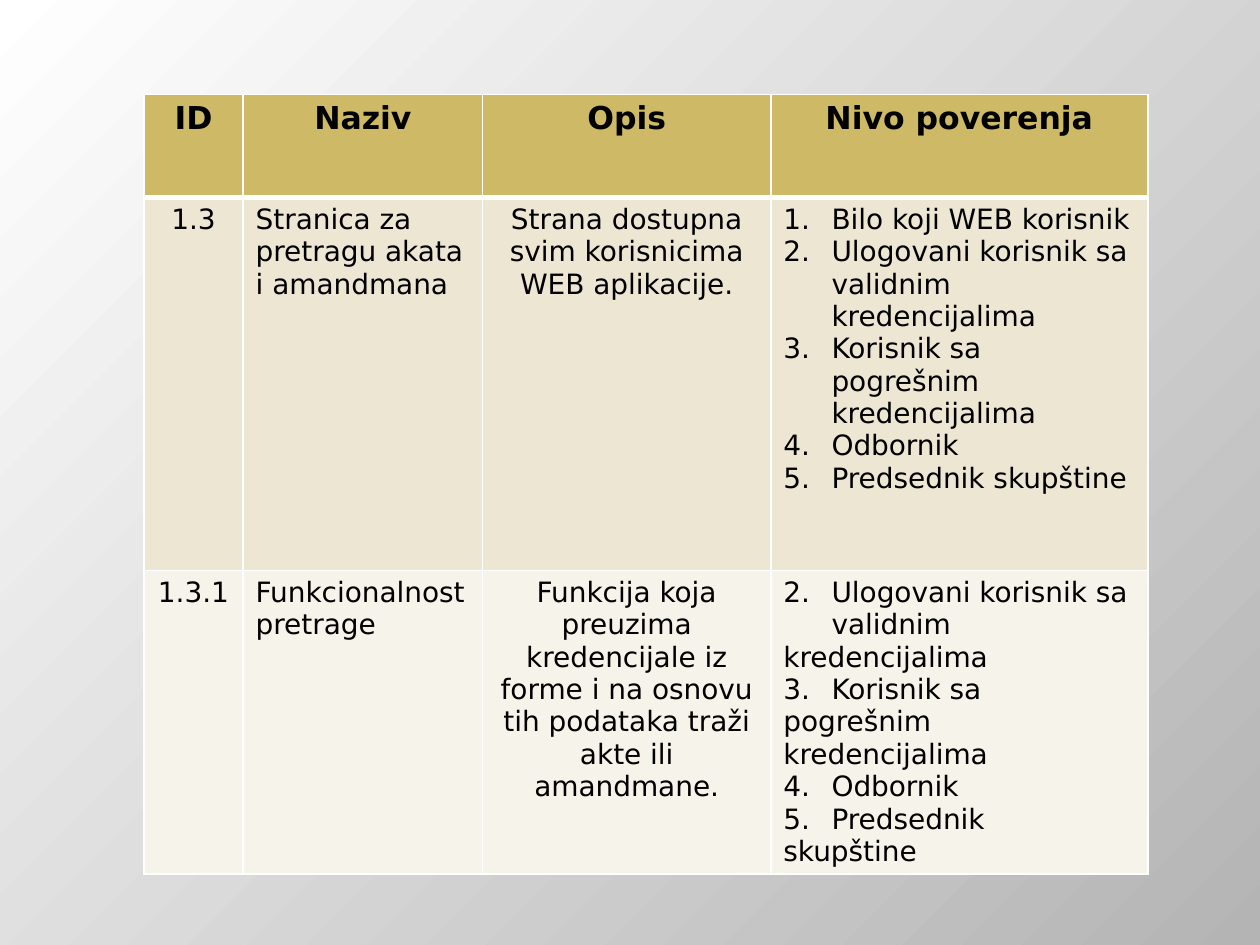
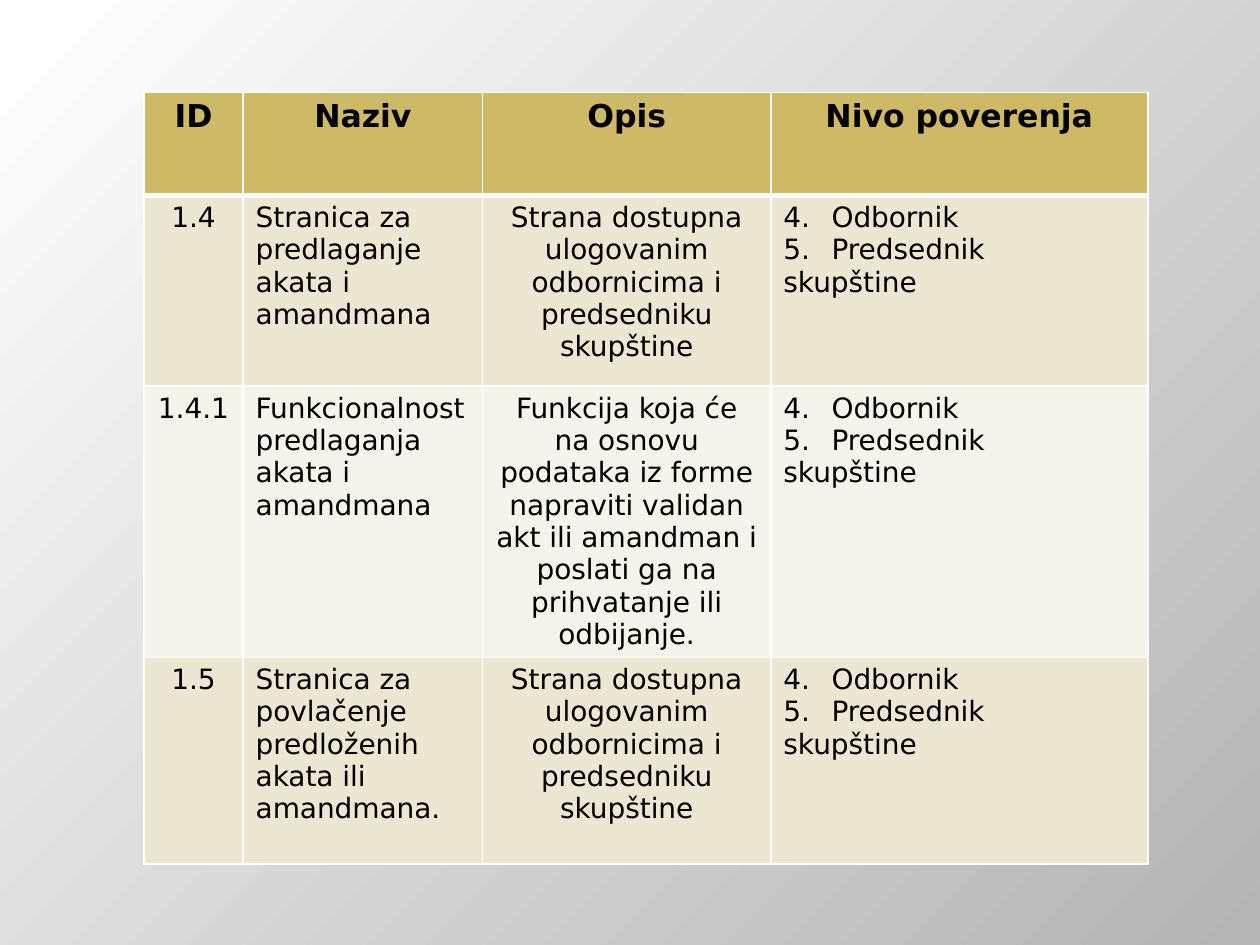
from lxml.etree import SubElement
from pptx import Presentation
from pptx.dml.color import RGBColor
from pptx.enum.text import PP_ALIGN
from pptx.oxml import parse_xml
from pptx.oxml.ns import nsdecls, qn
from pptx.util import Cm, Pt

FONT = "DejaVu Sans"
HEADER_FILL = "CEB966"
BAND_FILLS = ["EDE6D3", "F6F3EA"]
HEADINGS = ["ID", "Naziv", "Opis", "Nivo poverenja"]
COL_WIDTHS = [2.0, 4.83, 5.81, 7.6]
HEADER_HEIGHT = 2.08
LEFT = 2.9
LIST_INDENT = Cm(0.97)

ALL_USERS = [
    "Bilo koji WEB korisnik",
    "Ulogovani korisnik sa validnim kredencijalima",
    "Korisnik sa pogrešnim kredencijalima",
    "Odbornik",
    "Predsednik skupštine",
]
COUNCIL = ["4.\tOdbornik", "5.\tPredsednik\vskupštine"]
LOGGED_IN = [
    "2.\tUlogovani korisnik sa\v\tvalidnim\vkredencijalima",
    "3.\tKorisnik sa\vpogrešnim\vkredencijalima",
] + COUNCIL
COUNCIL_PAGE = "Strana dostupna ulogovanim odbornicima i predsedniku skupštine"

# Each slide: top of the table, row heights, rows
SLIDES = [
    (1.9, [7.52, 6.1], [
        ["1.3", "Stranica za pretragu akata i amandmana",
         "Strana dostupna svim korisnicima WEB aplikacije.", ALL_USERS],
        ["1.3.1", "Funkcionalnost pretrage",
         "Funkcija koja preuzima kredencijale iz forme i na osnovu tih "
         "podataka traži akte ili amandmane.", LOGGED_IN],
    ]),
    (1.86, [3.84, 5.46, 4.17], [
        ["1.4", "Stranica za predlaganje akata i amandmana",
         COUNCIL_PAGE, COUNCIL],
        ["1.4.1", "Funkcionalnost predlaganja akata i amandmana",
         "Funkcija koja će na osnovu podataka iz forme napraviti validan akt "
         "ili amandman i poslati ga na prihvatanje ili odbijanje.", COUNCIL],
        ["1.5", "Stranica za povlačenje predloženih akata ili amandmana.",
         COUNCIL_PAGE, COUNCIL],
    ]),
]


def rgb(color):
    return RGBColor.from_string(color)


def set_borders(cell, top, bottom):
    """Draw white borders, with top and bottom widths in points."""
    tcPr = cell._tc.get_or_add_tcPr()
    for i, (side, width) in enumerate(
            [("L", 1), ("R", 1), ("T", top), ("B", bottom)]):
        tcPr.insert(i, parse_xml(
            f'<a:ln{side} {nsdecls("a")} w="{Pt(width)}"><a:solidFill>'
            f'<a:srgbClr val="FFFFFF"/></a:solidFill></a:ln{side}>'))


prs = Presentation()
prs.slide_width, prs.slide_height = Cm(25.4), Cm(19.05)

fill = prs.slide_master.background.fill
fill.gradient()
fill.gradient_angle = 315
for stop, color in zip(fill.gradient_stops, ["FFFFFF", "B4B4B4"]):
    stop.color.rgb = rgb(color)

for top, heights, rows in SLIDES:
    s = prs.slides.add_slide(prs.slide_layouts[6])
    heights = [HEADER_HEIGHT] + heights
    table = s.shapes.add_table(
        len(heights), len(HEADINGS), Cm(LEFT), Cm(top),
        Cm(sum(COL_WIDTHS)), Cm(sum(heights))).table
    for col, width in zip(table.columns, COL_WIDTHS):
        col.width = Cm(width)
    for row, height in zip(table.rows, heights):
        row.height = Cm(height)

    for i, texts in enumerate([HEADINGS] + rows):
        is_header = i == 0
        size = Pt(18 if is_header else 16)
        for j, text in enumerate(texts):
            cell = table.cell(i, j)
            cell.fill.solid()
            cell.fill.fore_color.rgb = rgb(
                HEADER_FILL if is_header else BAND_FILLS[(i - 1) % 2])
            set_borders(cell, 3 if i == 1 else 1, 3 if is_header else 1)

            is_list = isinstance(text, list)
            tf = cell.text_frame
            tf.text = "\n".join(text) if is_list else text
            for p in tf.paragraphs:
                centred = is_header or j in (0, 2)
                p.alignment = PP_ALIGN.CENTER if centred else PP_ALIGN.LEFT
                for r in p.runs:
                    r.font.name = FONT
                    r.font.size = size
                    r.font.bold = is_header
                    r.font.color.rgb = rgb("000000")
                for br in p._p.findall(qn("a:br")):
                    rPr = SubElement(br, qn("a:rPr"), sz=str(int(size.pt * 100)))
                    SubElement(rPr, qn("a:latin"), typeface=FONT)
                if not is_list:
                    continue
                pPr = p._p.get_or_add_pPr()
                if text is ALL_USERS:
                    pPr.set("marL", str(LIST_INDENT))
                    pPr.set("indent", str(-LIST_INDENT))
                    SubElement(pPr, qn("a:buFont"), typeface="+mj-lt")
                    SubElement(pPr, qn("a:buAutoNum"), type="arabicPeriod")
                else:
                    tabs = SubElement(pPr, qn("a:tabLst"))
                    SubElement(tabs, qn("a:tab"), pos=str(LIST_INDENT), algn="l")

prs.save("out.pptx")
